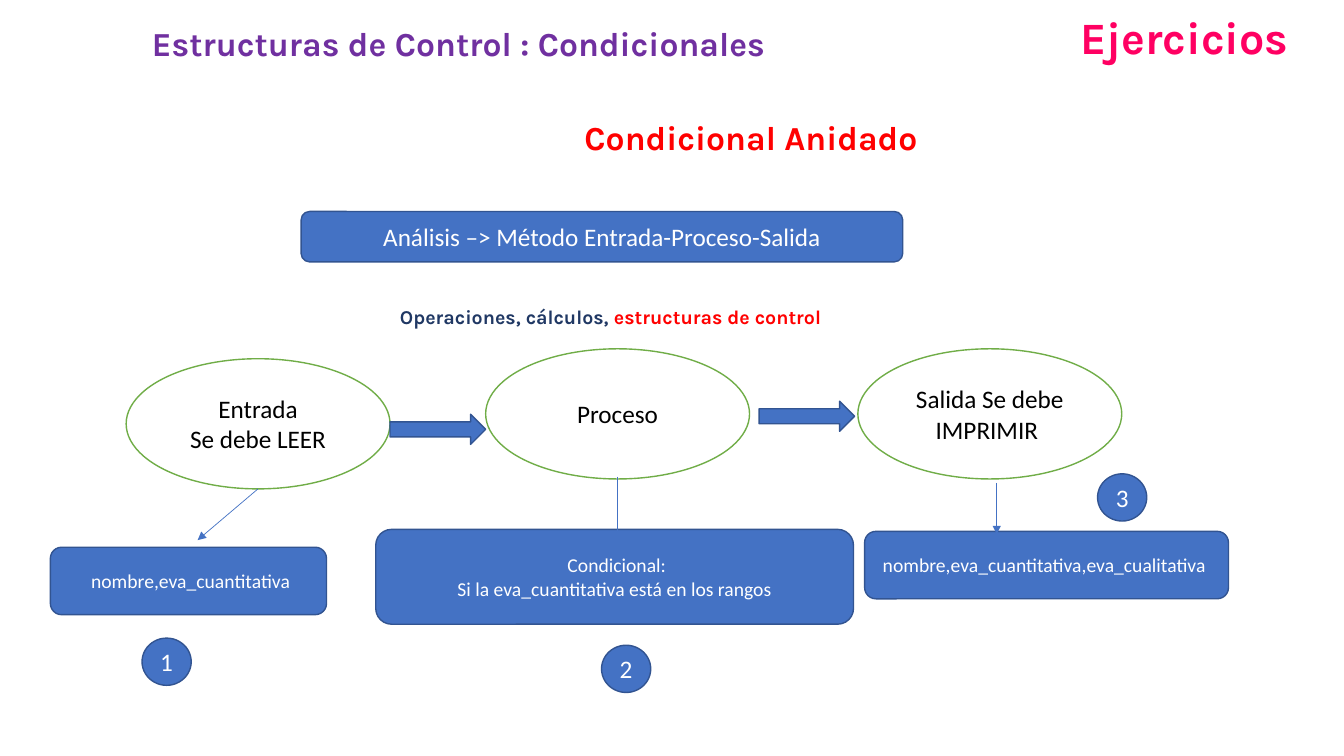
import pptx
import pptx.util
from lxml import etree
from pptx.dml.color import RGBColor
from pptx.enum.shapes import MSO_CONNECTOR, MSO_SHAPE
from pptx.enum.text import MSO_ANCHOR, MSO_AUTO_SIZE, PP_ALIGN
from pptx.oxml.ns import qn
from pptx.util import Cm, Pt

WHITE = RGBColor(0xFF, 0xFF, 0xFF)
BLACK = RGBColor(0x00, 0x00, 0x00)
BLUE = RGBColor(0x44, 0x72, 0xC4)
DARK_BLUE = RGBColor(0x32, 0x54, 0x91)
NAVY = RGBColor(0x20, 0x38, 0x64)
GREEN = RGBColor(0x70, 0xAD, 0x47)
RED = RGBColor(0xFF, 0x00, 0x00)
PINK = RGBColor(0xFF, 0x00, 0x62)
PURPLE = RGBColor(0x70, 0x30, 0xA0)

# Lengths in centimetres
STAGE_SIZE = (6.65, 3.28)
ARROW_SIZE = (2.41, 0.76)
BADGE_SIZE = (1.24, 1.19)

STAGES = [
    (3.18, 9.04, ["Entrada", "Se debe LEER"]),
    (12.24, 8.79, ["Proceso"]),
    (21.62, 8.79, ["Salida Se debe IMPRIMIR "]),
]
BANNER = (7.59, 5.33, 15.16, 1.27, ["Análisis –> Método Entrada-Proceso-Salida"])
ARROWS = [(9.83, 10.44), (19.13, 10.11)]
DETAILS = [
    (1.27, 13.79, 6.96, 1.7, [" nombre,eva_cuantitativa"]),
    (9.47, 13.34, 12.04, 2.39,
     [" Condicional:", "Si la eva_cuantitativa está en los rangos"]),
    (21.79, 13.39, 9.17, 1.7, ["nombre,eva_cuantitativa,eva_cualitativa "]),
]
LINKS = [
    (6.5, 12.32, 4.98, 13.61),
    (15.57, 12.01, 15.57, 13.61),
    (25.12, 12.17, 25.12, 13.46),
]
BADGES = [(3.58, 16.08), (15.16, 16.26), (27.66, 11.94)]
HEADINGS = [
    (9.83, 7.57, 22.83, 0.86, 14,
     [("Operaciones, cálculos, ", NAVY), ("estructuras de control", RED)]),
    (26.97, 0.13, 7.98, 1.63, 32, [("Ejercicios", PINK)]),
    (3.58, 0.46, 17.27, 1.27, 24,
     [("Estructuras de Control : Condicionales", PURPLE)]),
    (14.48, 2.82, 9.35, 1.27, 24, [("Condicional Anidado", RED)]),
]


def format_font(font, color, **values):
    for name, value in values.items():
        setattr(font, name, value)
    font.color.rgb = color


def add_block(slide, kind, left, top, width, height, lines=(), size=18,
              fill=BLUE, outline=DARK_BLUE, color=WHITE):
    shape = slide.shapes.add_shape(kind, Cm(left), Cm(top), Cm(width), Cm(height))
    shape.shadow.inherit = False
    shape.fill.solid()
    shape.fill.fore_color.rgb = fill
    shape.line.color.rgb = outline
    shape.line.width = Pt(1)
    if not lines:
        return
    frame = shape.text_frame
    frame.word_wrap = True
    frame.vertical_anchor = MSO_ANCHOR.MIDDLE
    frame.text = "\n".join(lines)
    for paragraph in frame.paragraphs:
        paragraph.alignment = PP_ALIGN.CENTER
        format_font(paragraph.runs[0].font, color, name="Calibri", size=Pt(size))


def add_link(slide, *ends):
    connector = slide.shapes.add_connector(MSO_CONNECTOR.STRAIGHT, *map(Cm, ends))
    connector.line.color.rgb = BLUE
    connector.line.width = Pt(0.5)
    etree.SubElement(connector.line._get_or_add_ln(), qn("a:tailEnd"), type="triangle")
    etree.SubElement(connector._element.spPr, qn("a:effectLst"))


def add_heading(slide, left, top, width, height, size, runs):
    box = slide.shapes.add_textbox(Cm(left), Cm(top), Cm(width), Cm(height))
    frame = box.text_frame
    frame.word_wrap = True
    frame.auto_size = MSO_AUTO_SIZE.SHAPE_TO_FIT_TEXT
    for text, color in runs:
        run = frame.paragraphs[0].add_run()
        run.text = text
        format_font(run.font, color, name="Karla", size=Pt(size), bold=True)


def main():
    presentation = pptx.Presentation()
    presentation.slide_width = Cm(33.87)
    presentation.slide_height = Cm(19.05)
    slide = presentation.slides.add_slide(presentation.slide_layouts[6])

    for left, top, lines in STAGES:
        add_block(slide, MSO_SHAPE.OVAL, left, top, *STAGE_SIZE, lines,
                  fill=WHITE, outline=GREEN, color=BLACK)
    add_block(slide, MSO_SHAPE.ROUNDED_RECTANGLE, *BANNER)
    for position in ARROWS:
        add_block(slide, MSO_SHAPE.RIGHT_ARROW, *position, *ARROW_SIZE)
    for detail in DETAILS:
        add_block(slide, MSO_SHAPE.ROUNDED_RECTANGLE, *detail, size=14)
    for link in LINKS:
        add_link(slide, *link)
    for number, position in enumerate(BADGES, start=1):
        add_block(slide, MSO_SHAPE.OVAL, *position, *BADGE_SIZE, [str(number)])
    for heading in HEADINGS:
        add_heading(slide, *heading)

    presentation.save("out.pptx")


if __name__ == "__main__":
    main()
